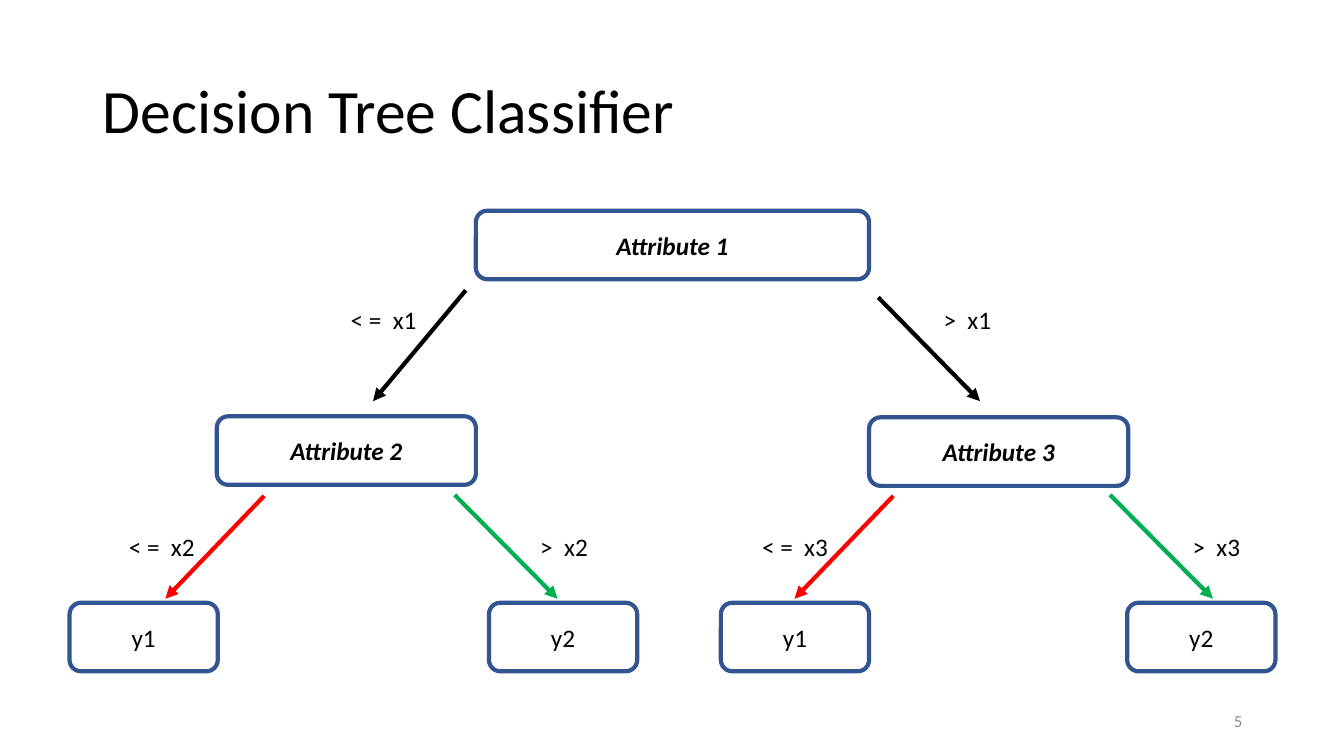
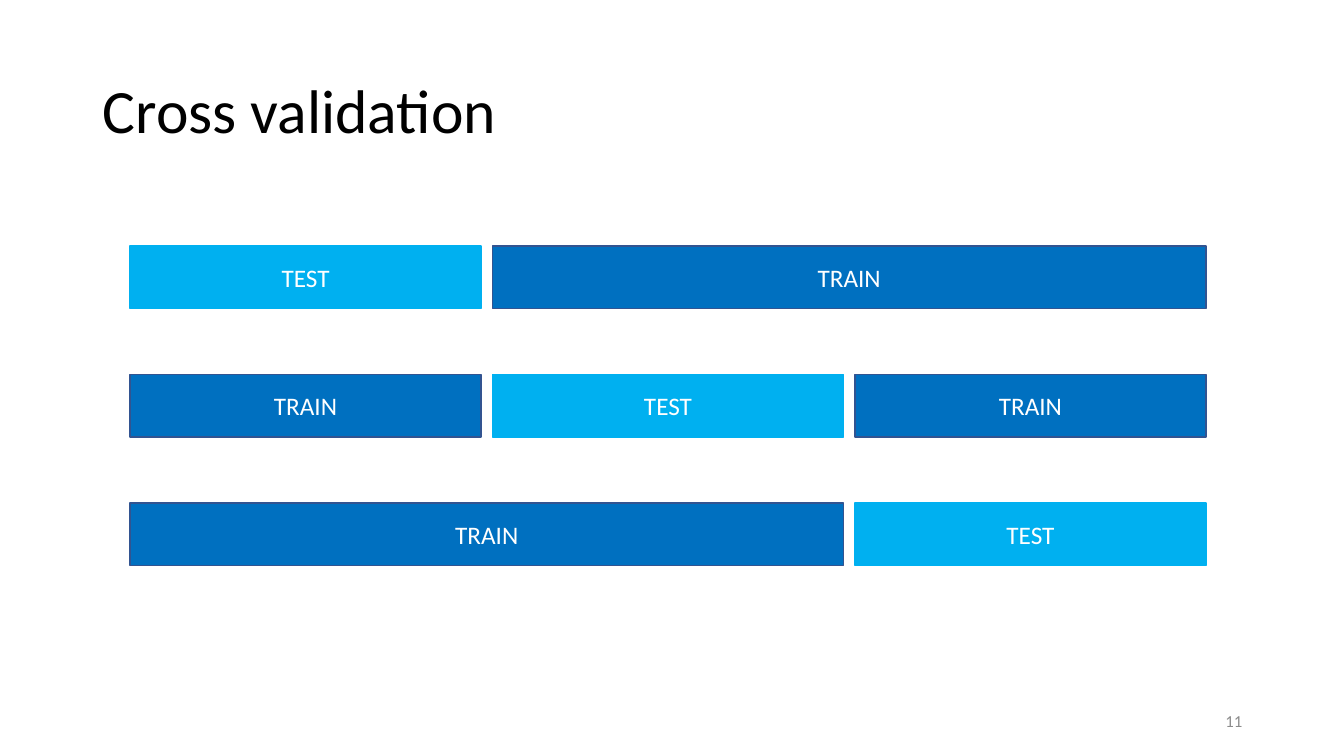
import pptx
import pptx.util
import pptx.dml.color
import pptx.enum.shapes
import pptx.enum.text
import pptx.oxml
import pptx.oxml.ns

Inches, Pt = pptx.util.Inches, pptx.util.Pt
RGBColor = pptx.dml.color.RGBColor
MSO_SHAPE = pptx.enum.shapes.MSO_SHAPE
PP_ALIGN = pptx.enum.text.PP_ALIGN
MSO_ANCHOR = pptx.enum.text.MSO_ANCHOR

# Shared style
FONT = "Calibri"
BLACK = RGBColor(0x00, 0x00, 0x00)
WHITE = RGBColor(0xFF, 0xFF, 0xFF)
GREY = RGBColor(0x8C, 0x8C, 0x8C)
NAVY = RGBColor(0x32, 0x54, 0x91)
BLUE = RGBColor(0x00, 0x70, 0xC0)
SKY = RGBColor(0x00, 0xB0, 0xF0)
RED = RGBColor(0xFF, 0x00, 0x00)
GREEN = RGBColor(0x00, 0xB0, 0x50)

# Decision tree: inner nodes (text, left, top, width), leaves (text, left)
NODE_HEIGHT = 0.68
ATTRIBUTES = [
    ("Attribute 1", 4.72, 2.09, 3.9),
    ("Attribute 2", 2.15, 4.13, 2.57),
    ("Attribute 3", 8.62, 4.14, 2.57),
]
LEAF_TOP, LEAF_WIDTH = 5.98, 1.47
LEAVES = [("y1", 0.69), ("y2", 4.85), ("y1", 7.15), ("y2", 11.18)]

# Branches: condition, label position, arrow start, arrow end, colour
BRANCHES = [
    ("< =  x1", (3.38, 2.97), (4.62, 2.88), (3.7, 3.98), BLACK),
    (">  x1", (9.26, 2.97), (8.71, 2.95), (9.72, 3.98), BLACK),
    ("< =  x2", (1.18, 5.22), (2.62, 4.92), (1.64, 5.94), RED),
    (">  x2", (5.26, 5.22), (4.51, 4.91), (5.53, 5.94), GREEN),
    ("< =  x3", (7.46, 5.22), (8.86, 4.92), (7.88, 5.94), RED),
    (">  x3", (11.73, 5.22), (11.01, 4.91), (12.03, 5.94), GREEN),
]

# Cross validation: each fold lists (kind, number of thirds covered)
FOLDS = [
    [("TEST", 1), ("TRAIN", 2)],
    [("TRAIN", 1), ("TEST", 1), ("TRAIN", 1)],
    [("TRAIN", 2), ("TEST", 1)],
]
BAR_COLOURS = {"TEST": (SKY, SKY), "TRAIN": (BLUE, NAVY)}
FOLD_LEFT, FOLD_TOP, FOLD_STEP = 1.29, 2.44, 1.275
THIRD_WIDTH, BAR_GAP, BAR_HEIGHT = 3.48, 0.115, 0.62


def write(frame, text, size, colour, align=PP_ALIGN.LEFT,
          anchor=MSO_ANCHOR.MIDDLE, emphasis=False):
    frame.text = text
    frame.word_wrap = True
    frame.vertical_anchor = anchor
    para = frame.paragraphs[0]
    para.alignment = align
    font = para.runs[0].font
    font.name, font.size, font.color.rgb = FONT, Pt(size), colour
    font.bold = font.italic = emphasis


def add_text(page, text, left, top, width, height, size, colour, **style):
    box = page.shapes.add_textbox(*map(Inches, (left, top, width, height)))
    write(box.text_frame, text, size, colour, **style)


def add_page(deck, title, number):
    page = deck.slides.add_slide(deck.slide_layouts.get_by_name("Title Only"))
    heading = page.shapes.title
    heading.left, heading.top = Inches(0.92), Inches(0.4)
    heading.width, heading.height = Inches(11.5), Inches(1.45)
    write(heading.text_frame, title, 44, BLACK)
    heading.text_frame.auto_size = pptx.enum.text.MSO_AUTO_SIZE.NONE
    heading.text_frame.paragraphs[0].line_spacing = 0.9
    add_text(page, number, 9.42, 6.95, 3, 0.4, 12, GREY, align=PP_ALIGN.RIGHT)
    return page


def add_box(page, kind, text, left, top, width, height, fill, line,
            line_width, colour, emphasis=False):
    box = page.shapes.add_shape(kind, *map(Inches, (left, top, width, height)))
    box.shadow.inherit = False
    if fill is None:
        box.fill.background()
    else:
        box.fill.solid()
        box.fill.fore_color.rgb = fill
    box.line.color.rgb, box.line.width = line, Pt(line_width)
    write(box.text_frame, text, 18, colour, PP_ALIGN.CENTER, emphasis=emphasis)


def add_arrow(page, start, end, colour):
    arrow = page.shapes.add_connector(
        pptx.enum.shapes.MSO_CONNECTOR.STRAIGHT, *map(Inches, start + end))
    arrow.line.color.rgb, arrow.line.width = colour, Pt(3)
    line = arrow.line._get_or_add_ln()
    namespace = pptx.oxml.ns.nsdecls("a")
    line.append(pptx.oxml.parse_xml(f'<a:tailEnd {namespace} type="triangle"/>'))
    line.addnext(pptx.oxml.parse_xml(f"<a:effectLst {namespace}/>"))


def build_tree(deck):
    page = add_page(deck, "Decision Tree Classifier", "5")
    nodes = [(*attribute, True) for attribute in ATTRIBUTES]
    nodes += [(text, left, LEAF_TOP, LEAF_WIDTH, False) for text, left in LEAVES]
    for text, left, top, width, emphasis in nodes:
        add_box(page, MSO_SHAPE.ROUNDED_RECTANGLE, text, left, top, width,
                NODE_HEIGHT, None, NAVY, 3, BLACK, emphasis)
    for condition, (left, top), start, end, colour in BRANCHES:
        add_arrow(page, start, end, colour)
        add_text(page, condition, left, top, 0.93, 0.4, 18, BLACK,
                 anchor=MSO_ANCHOR.TOP)


def build_folds(deck):
    page = add_page(deck, "Cross validation", "11")
    for row, fold in enumerate(FOLDS):
        left = FOLD_LEFT
        for kind, thirds in fold:
            width = thirds * THIRD_WIDTH + (thirds - 1) * BAR_GAP
            fill, line = BAR_COLOURS[kind]
            add_box(page, MSO_SHAPE.RECTANGLE, kind, left,
                    FOLD_TOP + row * FOLD_STEP, width, BAR_HEIGHT,
                    fill, line, 1, WHITE)
            left += width + BAR_GAP


def main():
    deck = pptx.Presentation()
    deck.slide_width, deck.slide_height = Inches(13.33), Inches(7.5)
    build_tree(deck)
    build_folds(deck)
    deck.save("out.pptx")


if __name__ == "__main__":
    main()
